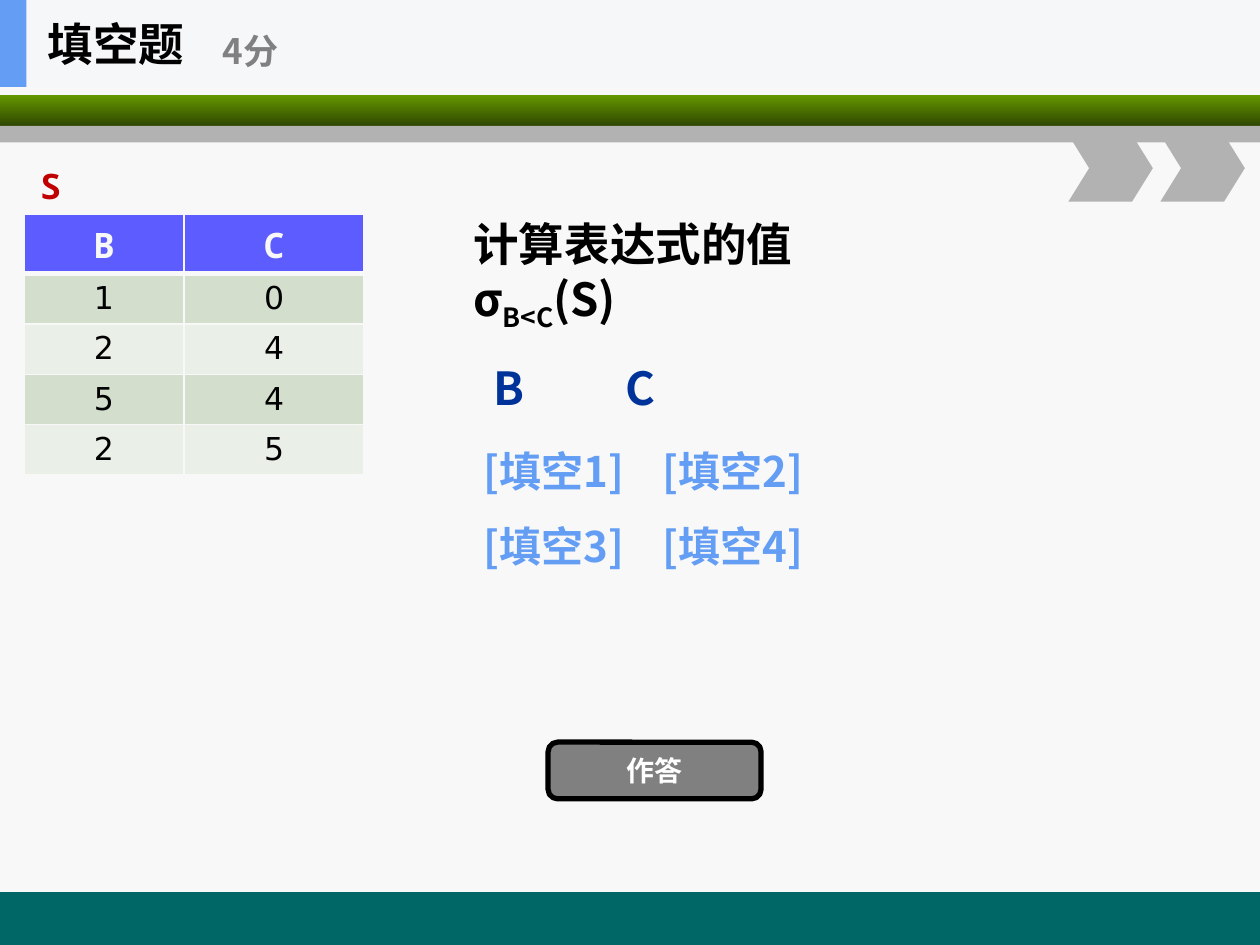
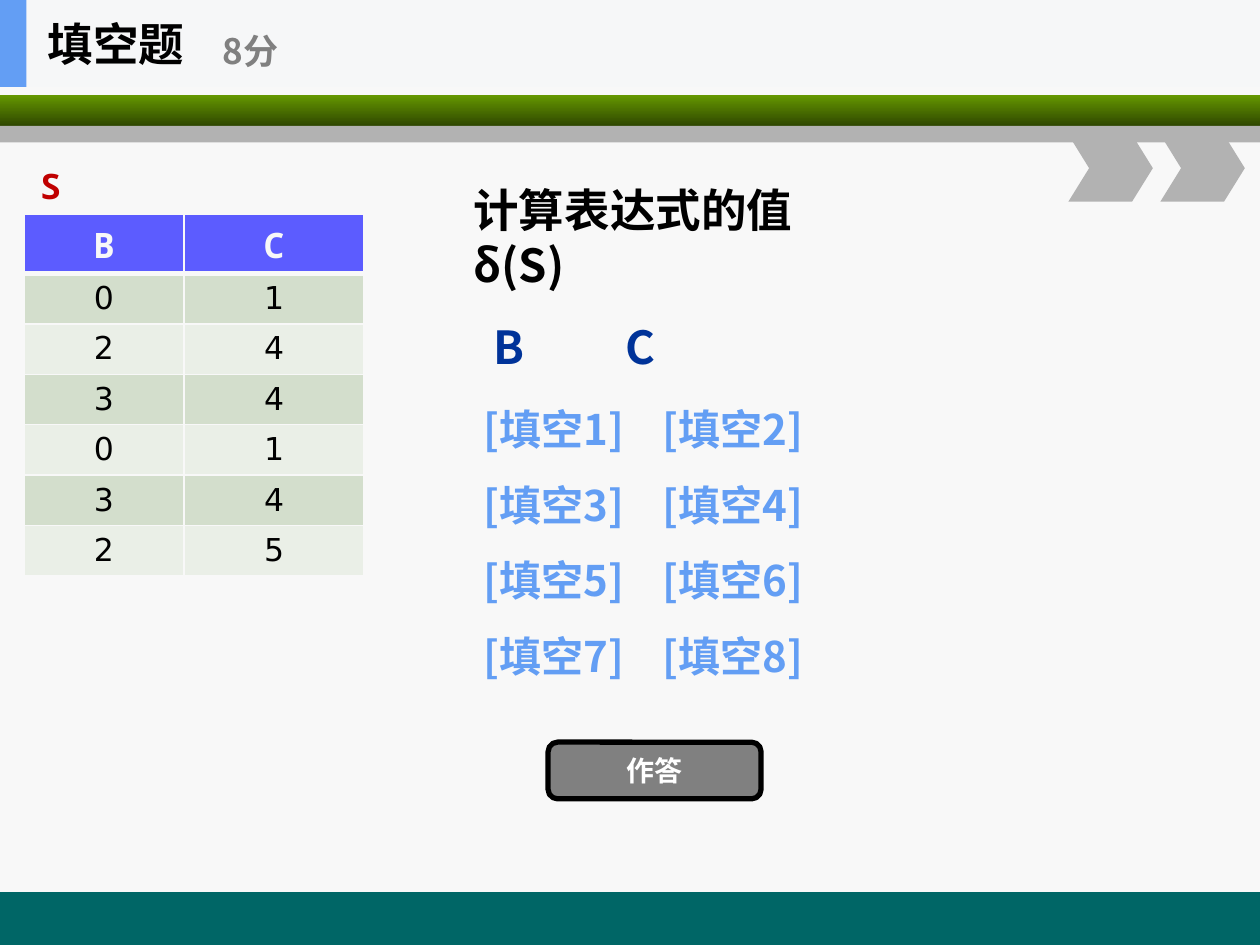
from lxml import etree
from pptx import Presentation
from pptx.dml.color import RGBColor
from pptx.enum import shapes, text
from pptx.oxml import ns
from pptx.util import Inches, Pt

BLACK = RGBColor(0x00, 0x00, 0x00)
WHITE = RGBColor(0xFF, 0xFF, 0xFF)
PAPER = RGBColor(0xF8, 0xF8, 0xF8)
HEADER = RGBColor(0xF6, 0xF7, 0xF8)
SKY = RGBColor(0x63, 0x9E, 0xF4)
NAVY = RGBColor(0x00, 0x33, 0x99)
TEAL = RGBColor(0x00, 0x66, 0x66)
GREEN = RGBColor(0x66, 0x99, 0x00)
DARK_GREEN = RGBColor(0x2F, 0x47, 0x00)
SILVER = RGBColor(0xB2, 0xB2, 0xB2)
GRAY = RGBColor(0x80, 0x80, 0x80)
RED = RGBColor(0xC0, 0x00, 0x00)
VIOLET = RGBColor(0x5C, 0x5C, 0xFF)
ROW_FILLS = (RGBColor(0xD3, 0xDE, 0xCC), RGBColor(0xEA, 0xEF, 0xE7))

CJK = "Noto Sans CJK SC"
MONO = "Noto Sans Mono"
TITLE = {"size": Pt(26), "bold": True, "name": CJK, "color": BLACK}
POINTS = TITLE | {"size": Pt(20), "color": GRAY}
BUTTON = TITLE | {"size": Pt(16), "color": WHITE}
ANSWER_HEAD = TITLE | {"color": NAVY}
BLANK = TITLE | {"size": Pt(24), "color": SKY}
RELATION = {"size": Pt(20), "bold": True, "name": MONO, "color": RED}
TABLE_HEAD = RELATION | {"color": PAPER}
TABLE_BODY = {"size": Pt(18), "bold": False, "name": "DejaVu Sans", "color": BLACK}

BLANK_LINE = 0.6
COLUMN_NAMES = ("B", "C")
QUESTIONS = (
    {
        "points": 4,
        "expression": ("σ", "B<C", "(S)"),
        "rows": ((1, 0), (2, 4), (5, 4), (2, 5)),
        "answer_rows": 2,
        "spare_lines": 1,
    },
    {
        "points": 8,
        "expression": ("δ(S)",),
        "rows": ((0, 1), (2, 4), (3, 4), (0, 1), (3, 4), (2, 5)),
        "answer_rows": 4,
        "spare_lines": 0,
    },
)


def set_attributes(target, values):
    for name, value in values.items():
        setattr(target, name, value)


class QuizDeck:
    def __init__(self):
        self.presentation = Presentation()
        self.presentation.slide_width = Inches(10)
        self.presentation.slide_height = Inches(7.5)
        self.slide = None

    def new_slide(self):
        self.slide = self.presentation.slides.add_slide(self.presentation.slide_layouts[6])
        self.slide.background.fill.solid()
        self.slide.background.fill.fore_color.rgb = PAPER

    def shape(self, box, color, kind=shapes.MSO_SHAPE.RECTANGLE):
        shape = self.slide.shapes.add_shape(kind, *map(Inches, box))
        shape.shadow.inherit = False
        shape.fill.solid()
        shape.fill.fore_color.rgb = color
        shape.line.fill.background()
        return shape

    def run(self, paragraph, words, style):
        run = paragraph.add_run()
        run.text = words
        values = dict(style)
        run.font.color.rgb = values.pop("color")
        set_attributes(run.font, values)
        east_asian = etree.SubElement(run.font._element, ns.qn("a:ea"))
        east_asian.set("typeface", style["name"])
        return run

    def text(self, box, words, style, **frame_values):
        frame = self.slide.shapes.add_textbox(*map(Inches, box)).text_frame
        values = {"word_wrap": True, "vertical_anchor": text.MSO_ANCHOR.MIDDLE}
        set_attributes(frame, values | frame_values)
        self.run(frame.paragraphs[0], words, style)
        return frame

    def tabbed_line(self, frame, words, style, stops, space_before=0):
        paragraph = frame.add_paragraph()
        set_attributes(paragraph, {"line_spacing": 1.5, "space_before": Pt(space_before)})
        tabs = etree.SubElement(paragraph._element.get_or_add_pPr(), ns.qn("a:tabLst"))
        for stop in stops:
            etree.SubElement(tabs, ns.qn("a:tab"), pos=str(Inches(stop)), algn="l")
        self.run(paragraph, "".join("\t" + word for word in words), style)

    def bands(self):
        self.shape((0, 7.08, 10, 0.42), TEAL)
        fill = self.shape((0, 0.75, 10, 0.25), GREEN).fill
        fill.gradient()
        fill.gradient_angle = 270
        for stop, color in zip(fill.gradient_stops, (GREEN, DARK_GREEN)):
            stop.color.rgb = color
        self.shape((0, 1, 10, 0.13), SILVER)
        for index in range(2):
            box = (8.48 + 0.73 * index, 1.07, 0.67, 0.53)
            chevron = self.shape(box, SILVER, shapes.MSO_SHAPE.CHEVRON)
            chevron.adjustments[0] = 0.31

    def title(self, points):
        self.shape((0, 0, 10, 0.69), HEADER)
        self.shape((0, 0, 0.21, 0.69), SKY)
        self.text((0.28, 0, 2.08, 0.69), "填空题", TITLE)
        self.text((1.67, 0.12, 2.5, 0.56), f"{points}分", POINTS)

    def exercise(self, expression, answer_rows, spare_lines):
        bottom = Inches(0.05 + BLANK_LINE * spare_lines)
        frame = self.text((3.66, 0.73, 5.34, 5.39), "计算表达式的值", TITLE, margin_bottom=bottom)
        paragraph = frame.add_paragraph()
        for index, part in enumerate(expression):
            run = self.run(paragraph, part, TITLE)
            if index == 1:
                run.font._element.set("baseline", "-25000")
        self.tabbed_line(frame, COLUMN_NAMES, ANSWER_HEAD, (0.16, 1.21))
        for row in range(answer_rows):
            words = [f"[填空{2 * row + column}]" for column in (1, 2)]
            self.tabbed_line(frame, words, BLANK, (0.08, 1.5), 0 if row else 3)

    def button(self):
        box = (4.35, 5.89, 1.69, 0.45)
        button = self.shape(box, GRAY, shapes.MSO_SHAPE.ROUNDED_RECTANGLE)
        button.line.color.rgb = BLACK
        button.line.width = Pt(3)
        button.text_frame.vertical_anchor = text.MSO_ANCHOR.MIDDLE
        paragraph = button.text_frame.paragraphs[0]
        paragraph.alignment = text.PP_ALIGN.CENTER
        self.run(paragraph, "作答", BUTTON)

    def cell(self, cell, words, style, color, bottom_width):
        properties = cell._tc.get_or_add_tcPr()
        for side, width in zip("LRTB", (1, 1, 1, bottom_width)):
            line = etree.SubElement(properties, ns.qn(f"a:ln{side}"), w=str(Pt(width)))
            fill = etree.SubElement(line, ns.qn("a:solidFill"))
            etree.SubElement(fill, ns.qn("a:srgbClr"), val=str(PAPER))
        cell.fill.solid()
        cell.fill.fore_color.rgb = color
        cell.vertical_anchor = text.MSO_ANCHOR.MIDDLE
        paragraph = cell.text_frame.paragraphs[0]
        paragraph.alignment = text.PP_ALIGN.CENTER
        self.run(paragraph, str(words), style)

    def relation(self, rows):
        heights = [0.47] + [0.39] * len(rows)
        box = (0.19, 1.7, 2.7, sum(heights))
        table = self.slide.shapes.add_table(len(heights), 2, *map(Inches, box)).table
        for column, width in zip(table.columns, (1.27, 1.43)):
            column.width = Inches(width)
        for row, height in zip(table.rows, heights):
            row.height = Inches(height)
        for column, name in enumerate(COLUMN_NAMES):
            self.cell(table.cell(0, column), name, TABLE_HEAD, VIOLET, 3)
            for index, values in enumerate(rows):
                cell = table.cell(index + 1, column)
                self.cell(cell, values[column], TABLE_BODY, ROW_FILLS[index % 2], 1)
        self.text(
            (0.22, 1.26, 0.35, 0.44), "S", RELATION,
            word_wrap=False,
            auto_size=text.MSO_AUTO_SIZE.SHAPE_TO_FIT_TEXT,
            vertical_anchor=text.MSO_ANCHOR.TOP,
        )


def main():
    deck = QuizDeck()
    for question in QUESTIONS:
        deck.new_slide()
        deck.bands()
        deck.exercise(question["expression"], question["answer_rows"], question["spare_lines"])
        deck.button()
        deck.relation(question["rows"])
        deck.title(question["points"])
    deck.presentation.save("out.pptx")


if __name__ == "__main__":
    main()
